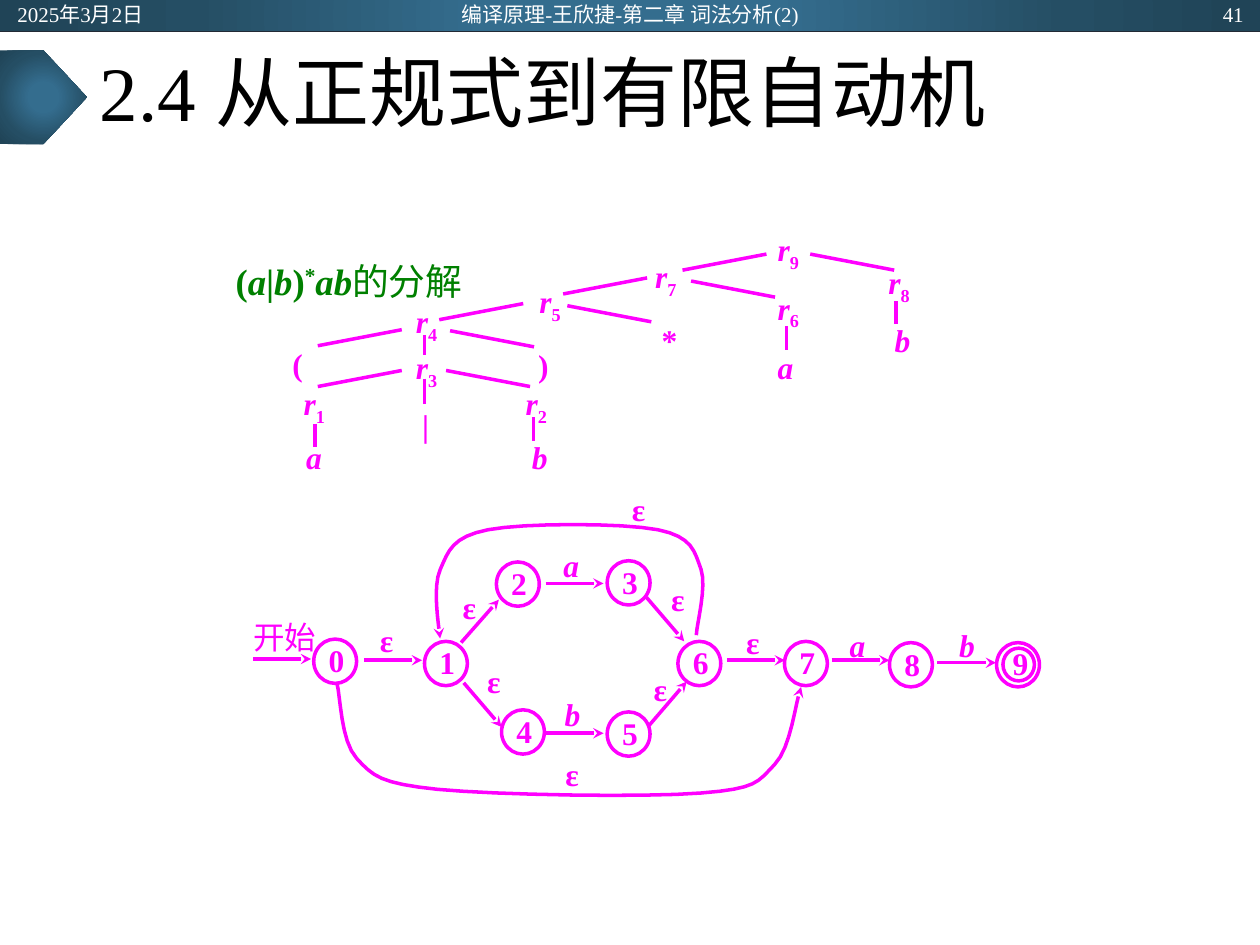
from lxml import etree
from pptx import Presentation
from pptx.dml.color import RGBColor
from pptx.enum.shapes import MSO_CONNECTOR as CONN, MSO_SHAPE as SHAPE
from pptx.enum.text import MSO_ANCHOR as ANCHOR, PP_ALIGN as ALIGN
from pptx.oxml import parse_xml
from pptx.oxml.ns import nsdecls, qn
from pptx.util import Pt

MAGENTA = RGBColor(0xFF, 0x00, 0xFF)
GREEN = RGBColor(0x00, 0x80, 0x00)
WHITE = RGBColor(0xFF, 0xFF, 0xFF)
BLACK = RGBColor(0x00, 0x00, 0x00)
NAVY = RGBColor(0x22, 0x2A, 0x35)
FONT = "Times New Roman"
BOLD, ITALIC = {"bold": True}, {"bold": True, "italic": True}
GRADIENT = [(0, "346D8E"), (23, "346D8E"), (69, "254E64"), (97, "204457")]


def write(s, runs, size=18, color=MAGENTA, align=ALIGN.CENTER,
          anchor=ANCHOR.MIDDLE, insets=(2.9, 1.4, 2.9, 1.4)):
    """Fill a shape with runs of (text, font values, baseline in percent)."""
    tf = s.text_frame
    sides = ("margin_left", "margin_top", "margin_right", "margin_bottom")
    frame = dict(zip(sides, map(Pt, insets)), word_wrap=True, vertical_anchor=anchor)
    for name, value in frame.items():
        setattr(tf, name, value)
    p = tf.paragraphs[0]
    p.alignment = align
    for text, style, baseline in runs:
        r = p.add_run()
        r.text = text
        for name, value in {"name": FONT, "size": Pt(size), **style}.items():
            setattr(r.font, name, value)
        r.font.color.rgb = color
        if baseline:
            r.font._element.set("baseline", str(baseline * 1000))
    return p


def outline(s, color=MAGENTA, width=2, arrow=False):
    """Give a shape or line a plain stroke without shadow."""
    s.line.color.rgb = color
    s.line.width = Pt(width)
    sp_pr = s.element.spPr
    if arrow:
        etree.SubElement(sp_pr.find(qn("a:ln")), qn("a:tailEnd"), type="stealth")
    etree.SubElement(sp_pr, qn("a:effectLst"))


prs = Presentation()
prs.slide_width, prs.slide_height = Pt(720), Pt(540)
slide = prs.slides.add_slide(prs.slide_layouts[5])

# Header band and title marker with a radial gradient
stops = "".join(f'<a:gs pos="{pos * 1000}"><a:srgbClr val="{rgb}"/></a:gs>'
                for pos, rgb in GRADIENT)
for kind, *box in [(SHAPE.RECTANGLE, 0, 0, 720, 18),
                   (SHAPE.PENTAGON, 0, 28.8, 49.7, 53.5)]:
    s = slide.shapes.add_shape(kind, *map(Pt, box))
    s.shadow.inherit = False
    s.line.fill.background()
    s.element.spPr.find(qn("a:prstGeom")).addnext(parse_xml(
        f'<a:gradFill {nsdecls("a")}><a:gsLst>{stops}</a:gsLst><a:path path="circle">'
        '<a:fillToRect l="50000" t="50000" r="50000" b="50000"/></a:path></a:gradFill>'))
s = slide.shapes.add_connector(CONN.STRAIGHT, 0, Pt(18), Pt(720), Pt(18))
outline(s, NAVY, 0.5)

# Title
title = slide.shapes.title
title.left, title.top, title.width, title.height = map(Pt, (49.7, 18, 620.6, 74.9))
p = write(title, [("2.4 从正规式到有限自动机", {}, 0)], 44, BLACK, ALIGN.LEFT,
          insets=(7.2, 3.6, 7.2, 3.6))
p.line_spacing = 0.9

# Date, course and page number
for text, left, width, align in [
        ("2025年3月2日", 2.9, 162, ALIGN.LEFT),
        ("编译原理-王欣捷-第二章 词法分析(2)", 238.3, 243.4, ALIGN.CENTER),
        ("41", 555.8, 162, ALIGN.RIGHT)]:
    s = slide.shapes.add_textbox(Pt(left), Pt(0.7), Pt(width), Pt(14.4))
    write(s, [(text, {}, 0)], 12, WHITE, align, insets=(7.2, 3.6, 7.2, 3.6))

# Automaton: states, the last one with a double ring
automaton = slide.shapes.add_group_shape().shapes
RING = (24.5, 25.3)
states = [("0", 179.3, 365.2, *RING), ("1", 242.6, 366.5, *RING),
          ("2", 283.7, 321.1, *RING), ("3", 347, 320.4, *RING),
          ("4", 286.6, 405.6, *RING), ("5", 347, 406.8, *RING),
          ("6", 387.4, 366.5, *RING), ("7", 448.3, 366.5, *RING),
          ("8", 508.3, 367.2, *RING), ("", 569.5, 367.2, *RING),
          ("9", 573.1, 370.4, 18, 18.7)]
for state, *box in states:
    s = automaton.add_shape(SHAPE.OVAL, *map(Pt, box))
    s.fill.background()
    outline(s)
    if state:
        write(s, [(state, BOLD, 0)], insets=(2.9, 1.4, 1.4, 2.9))

# Automaton: straight transitions
for x1, y1, x2, y2 in [
        (144.7, 376.6, 177.8, 376.6), (208.1, 377.3, 241.2, 377.3),
        (415.4, 377.3, 448.6, 377.3), (475.2, 377.3, 508.3, 377.3),
        (535.7, 378.7, 569.2, 378.7), (311.8, 333.4, 344.9, 333.4),
        (311.8, 419, 344.9, 419), (263.5, 367.2, 285.1, 342.7),
        (369.4, 341.3, 391, 366.5), (370.8, 414.7, 392.4, 389.5),
        (265, 390.2, 286.6, 415.4)]:
    s = automaton.add_connector(CONN.STRAIGHT, *map(Pt, (x1, y1, x2, y2)))
    outline(s, arrow=True)

# Automaton: the two long arcs, chains of cubic curves
STEPS = 8
arcs = [
    [(192.5, 390.4), (194.6, 397.4), (194.6, 423.4), (203.8, 433.4),
     (213.1, 443.5), (217.4, 447.8), (250.1, 451.1), (283, 454.3),
     (368.6, 455.8), (400.6, 453.2), (432.7, 450.7), (432.7, 447.1),
     (442.6, 437), (452.2, 427), (454.3, 401.8), (457.8, 392.6)],
    [(397.9, 363), (398.2, 356.4), (403.9, 335.5), (400.6, 325.4),
     (396.9, 315.4), (396, 306.7), (375.8, 302.7), (355.7, 298.8),
     (299.5, 298.8), (279, 302.7), (258.5, 306.7), (256.3, 314.6),
     (251.6, 325.4), (247, 335.5), (250.6, 356.4), (251.5, 364.9)]]
for knots in arcs:
    points = []
    for i in range(0, len(knots) - 1, 3):
        for t in (n / STEPS for n in range(1, STEPS + 1)):
            weights = ((1 - t) ** 3, 3 * t * (1 - t) ** 2, 3 * t * t * (1 - t), t ** 3)
            points.append(tuple(Pt(sum(w * k[axis] for w, k in zip(weights, knots[i:i + 4])))
                                for axis in (0, 1)))
    builder = automaton.build_freeform(*map(Pt, knots[0]))
    builder.add_line_segments(points, close=False)
    s = builder.convert_to_shape()
    s.fill.background()
    outline(s, arrow=True)

# Automaton: transition labels
labels = [("ε", 210.2, 355), ("ε", 257.4, 336.2), ("ε", 271.4, 378.7),
          ("ε", 376.6, 331.9), ("ε", 366.5, 383), ("ε", 316.1, 432),
          ("ε", 419.4, 356.4), ("ε", 354.2, 280.1), ("a", 315.7, 312.5),
          ("b", 316.4, 397.4), ("a", 479.2, 357.8), ("b", 541.8, 358.2)]
for label, left, top in labels:
    s = automaton.add_textbox(Pt(left), Pt(top), Pt(21.6), Pt(20.9))
    write(s, [(label, BOLD if label == "ε" else ITALIC, 0)])
s = automaton.add_textbox(Pt(131.8), Pt(352.1), Pt(61.9), Pt(23.8))
write(s, [("开始", {}, 0)])

# Syntax tree: nodes, where r is followed by a subscript
tree = slide.shapes.add_group_shape().shapes
nodes = [("r9", 441.4, 131), ("r7", 371.5, 146.2), ("r8", 504.7, 149.8),
         ("r4", 234.7, 172.1), ("r3", 234.7, 198), ("r5", 305.3, 160.6),
         ("r6", 441.4, 164.2), ("r2", 297.4, 218.9), ("r1", 170.6, 218.9),
         ("*", 375.1, 182.9), (")", 304.6, 197.3), ("(", 164.2, 196.6),
         ("|", 238.3, 231.1), ("a", 172.1, 249.8), ("b", 301, 249.8),
         ("a", 441.4, 198), ("b", 508.3, 182.9)]
for node, left, top in nodes:
    s = tree.add_textbox(Pt(left), Pt(top), Pt(27.4), Pt(16.6))
    runs = [(node[0], ITALIC if node[0].isalpha() else BOLD, 0)]
    if node[1:]:
        runs.append((node[1:], BOLD, -25))
    write(s, runs, align=ALIGN.JUSTIFY, anchor=ANCHOR.TOP, insets=(2.9, 0.7, 2.9, 0.7))

# Syntax tree: branches all share one slope, stems are vertical
DX, DY = 48, 9.2
branches = [(x, y, x + side * DX, y + DY) for x, y, side in [
    (463, 145.2, 1), (438, 145.2, -1), (254.9, 211.7, 1), (394.9, 160.6, 1),
    (324.2, 174.7, 1), (257.2, 189, 1), (369.8, 158.8, -1), (299, 173.5, -1),
    (229.6, 188.4, -1), (229.6, 211.7, -1)]]
stems = [(x, top, x, bottom) for x, top, bottom in [
    (242.6, 191.5, 203), (511.9, 172.1, 185.4), (449.4, 186.5, 200.2),
    (242.6, 216.4, 231.1), (305, 238.5, 252), (180, 242.1, 255.6)]]
for ends in branches + stems:
    outline(tree.add_connector(CONN.STRAIGHT, *map(Pt, ends)))

# Expression being decomposed
s = tree.add_textbox(Pt(121.7), Pt(146.2), Pt(156.2), Pt(29.5))
write(s, [("(", BOLD, 0), ("a", ITALIC, 0), ("|", BOLD, 0), ("b", ITALIC, 0),
          (")", BOLD, 0), ("*", BOLD, 30), ("ab", ITALIC, 0), ("的分解", {}, 0)],
      21, GREEN, anchor=ANCHOR.TOP, insets=(4.3, 1.4, 5, 2.9))

prs.save("out.pptx")
